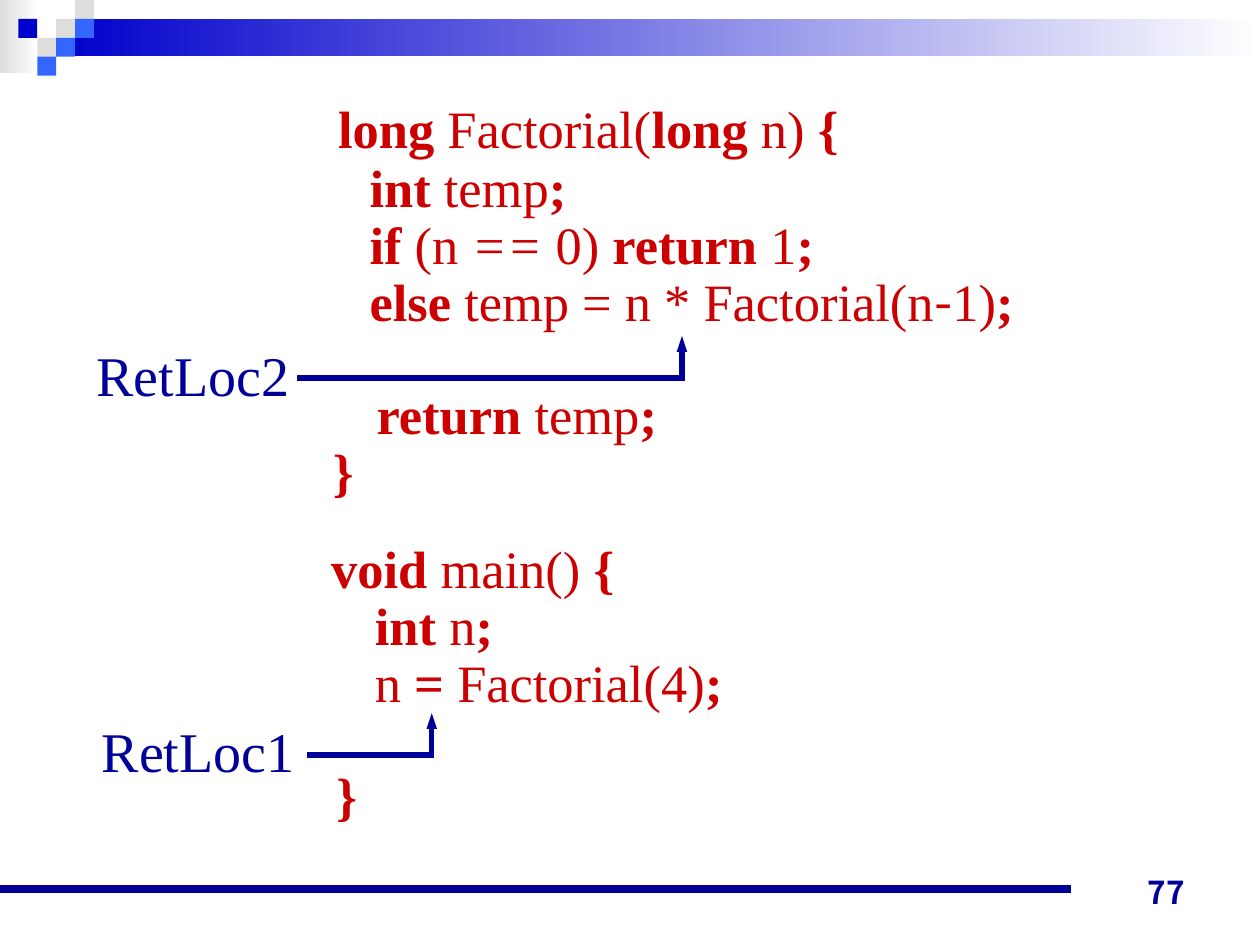
from lxml import etree
from pptx import Presentation
from pptx import util as u
from pptx.dml.color import RGBColor
from pptx.enum import shapes, text
from pptx.oxml import ns

Pt = u.Pt
NAVY = RGBColor(0x00, 0x00, 0x99)
BLUE = RGBColor(0x00, 0x00, 0xCC)
SKY = RGBColor(0x33, 0x66, 0xFF)
GREY = RGBColor(0xDD, 0xDD, 0xDD)
WHITE = RGBColor(0xFF, 0xFF, 0xFF)
RED = RGBColor(0xCC, 0x00, 0x00)

SERIF = "Times New Roman"
SANS = "Noto Sans CJK JP"
HYPHEN = "Noto Sans CJK SC"
CODE_SIZE = 30
CODE_PITCH = 32.4


class CodeSlide:
    def __init__(self, slide):
        self.slide = slide

    def block(self, left, top, width, height, color, fade_to=None):
        block = self.slide.shapes.add_shape(
            shapes.MSO_SHAPE.RECTANGLE, Pt(left), Pt(top), Pt(width), Pt(height))
        block.shadow.inherit = False
        block.line.fill.background()
        if fade_to is None:
            block.fill.solid()
            block.fill.fore_color.rgb = color
        else:
            block.fill.gradient()
            block.fill.gradient_angle = 0
            for stop, shade in zip(block.fill.gradient_stops, (color, fade_to)):
                stop.color.rgb = shade

    def line(self, start, end, width=3, arrow=False):
        line = self.slide.shapes.add_connector(
            shapes.MSO_CONNECTOR.STRAIGHT, *map(Pt, start + end))
        line.line.color.rgb = NAVY
        line.line.width = Pt(width)
        if arrow:
            etree.SubElement(line.line._get_or_add_ln(), ns.qn("a:tailEnd"),
                             type="triangle", w="sm", len="med")
        etree.SubElement(line._element.spPr, ns.qn("a:effectLst"))

    def frame(self, left, top, width, height, wrap=True, inset=0):
        frame = self.slide.shapes.add_textbox(
            Pt(left), Pt(top), Pt(width), Pt(height)).text_frame
        frame.word_wrap = wrap
        frame.margin_left = frame.margin_right = Pt(inset)
        frame.margin_top = frame.margin_bottom = Pt(inset / 2)
        return frame

    def run(self, paragraph, words, size, color, bold=False, italic=False, font=SERIF):
        run = paragraph.add_run()
        run.text = words
        run.font.name = font
        run.font.size = Pt(size)
        run.font.bold = bold
        run.font.italic = italic
        run.font.color.rgb = color

    def label(self, left, top, words):
        frame = self.frame(left, top, 124.5, 45, wrap=False, inset=7.2)
        self.run(frame.paragraphs[0], words, 32, NAVY)

    def number(self, words):
        frame = self.frame(516, 488, 168, 36, inset=7.2)
        frame.vertical_anchor = text.MSO_ANCHOR.BOTTOM
        frame.paragraphs[0].alignment = text.PP_ALIGN.RIGHT
        self.run(frame.paragraphs[0], words, 18, NAVY, bold=True, font=SANS)

    def code(self, left, top, lines):
        """Each line is (indent, space before, runs); a run is (words, style)."""
        frame = self.frame(left, top, 500, CODE_PITCH * (len(lines) + 1))
        for i, (indent, before, runs) in enumerate(lines):
            paragraph = frame.paragraphs[0] if i == 0 else frame.add_paragraph()
            paragraph._p.get_or_add_pPr().set("marL", str(Pt(indent)))
            paragraph.line_spacing = Pt(CODE_PITCH)
            if before:
                paragraph.space_before = Pt(before)
            for words, style in runs:
                self.run(paragraph, words, CODE_SIZE, RED, **style)


PLAIN = {}
BOLD = {"bold": True}

FACTORIAL = [
    (3, 0, [("long", BOLD), (" Factorial(", PLAIN), ("long", BOLD),
            (" n) ", PLAIN), ("{", BOLD)]),
    (21, 1.3, [("int", BOLD), (" temp", PLAIN), (";", BOLD)]),
    (21, 0, [("if", BOLD), (" (n", PLAIN), (" ==", {"italic": True}),
             (" 0) ", PLAIN), ("return", BOLD), (" 1", PLAIN), (";", BOLD)]),
    (21, 0, [("else", BOLD), (" temp = n * Factorial(n", PLAIN),
             ("-", {"font": HYPHEN}), ("1)", PLAIN), (";", BOLD)]),
    (25, CODE_PITCH, [("return", BOLD), (" temp", PLAIN), (";", BOLD)]),
    (0, 0, [("}", BOLD)]),
]
MAIN = [
    (0, 0, [("void ", BOLD), ("main()", PLAIN), (" {", BOLD)]),
    (25, 0, [("int ", BOLD), ("n", PLAIN), (";", BOLD)]),
    (25, 0, [("n", PLAIN), (" = ", BOLD), ("Factorial(4)", PLAIN), (";", BOLD)]),
    (3, CODE_PITCH, [("}", BOLD)]),
]


def main():
    deck = Presentation()
    deck.slide_width, deck.slide_height = Pt(720), Pt(540)
    page = CodeSlide(deck.slides.add_slide(deck.slide_layouts[6]))

    # Header band with its checker of small squares
    page.block(0, 0, 22.3, 41.8, GREY, fade_to=WHITE)
    page.block(32.4, 10.8, 687.6, 21.4, BLUE, fade_to=WHITE)
    side = 10.8
    for column, row, color in [(2, 1, GREY), (3, 0, GREY), (3, 1, SKY), (1, 2, GREY),
                               (0, 1, BLUE), (2, 2, SKY), (1, 3, SKY)]:
        page.block(10.5 + column * side, row * side, side, side, color)

    # Footer rule and page number
    page.line((0, 508), (612, 508), width=4.5)
    page.number("77")

    # The two functions
    page.code(190.2, 58.7, FACTORIAL)
    page.code(189.2, 310.1, MAIN)

    # Return locations, each with an arrow up to its call
    for name, left, top, start, turn, level in [
            ("RetLoc2", 48.2, 190.8, 170, 389.7, 216),
            ("RetLoc1", 51.1, 406.1, 175.7, 246.7, 431.5)]:
        page.label(left, top, name)
        page.line((start, level), (turn + 1.5, level))
        page.line((turn, level), (turn, level - 24), arrow=True)

    deck.save("out.pptx")


if __name__ == "__main__":
    main()
